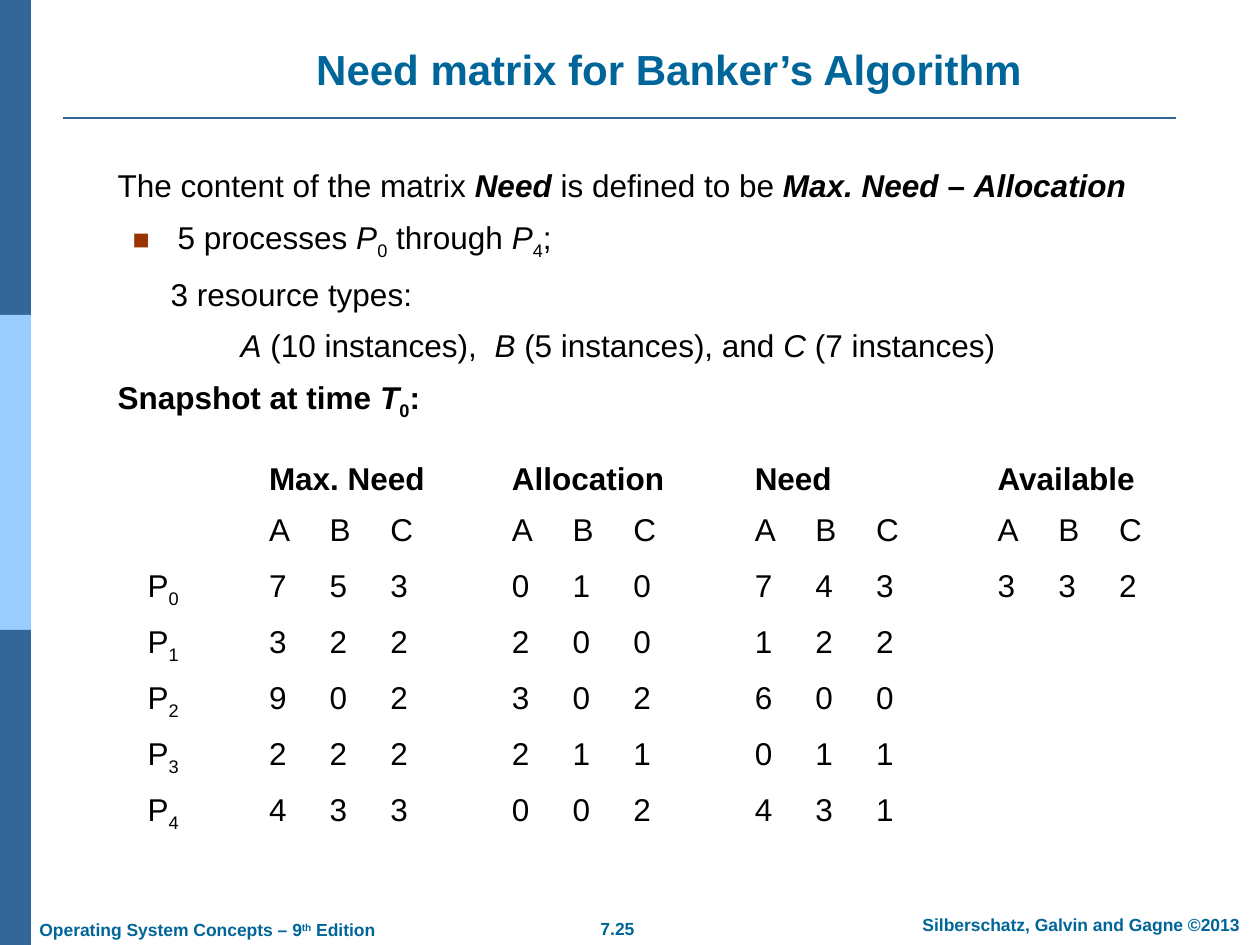
from lxml import etree
from pptx import Presentation
from pptx import util as u
from pptx.dml.color import RGBColor
from pptx.enum import shapes, text
from pptx.oxml import ns

PX = 914400 / 126
FONT = "Arial"
STEEL = RGBColor(0x33, 0x66, 0x99)
SKY = RGBColor(0x99, 0xCC, 0xFF)
TEAL = RGBColor(0x00, 0x66, 0x99)
RUST = RGBColor(0x99, 0x33, 0x00)
BLACK = RGBColor(0, 0, 0)


def px(*lengths):
    return [u.Emu(round(length * PX)) for length in lengths]


def write(para, spans, size, color, bold=False):
    para.font.name = FONT
    para.font.size = u.Pt(size)
    para.font.color.rgb = color
    para.font.bold = bold
    for words, style in spans:
        span = para.add_run()
        span.text = words
        if "b" in style:
            span.font.bold = True
        if "i" in style:
            span.font.italic = True
        if "_" in style:
            span.font._element.set("baseline", "-25000")
        if "^" in style:
            span.font._element.set("baseline", "30000")


deck = Presentation()
deck.slide_width, deck.slide_height = px(1260, 945)
page = deck.slides.add_slide(deck.slide_layouts[1])

for index, color in enumerate([STEEL, SKY, STEEL]):
    bar = page.shapes.add_shape(shapes.MSO_SHAPE.RECTANGLE, *px(0, index * 315, 31, 315))
    bar.shadow.inherit = False
    bar.fill.solid()
    bar.fill.fore_color.rgb = color
    bar.line.fill.background()

rule = page.shapes.add_connector(shapes.MSO_CONNECTOR.STRAIGHT, *px(63, 118, 1176, 118))
rule.line.color.rgb = STEEL
rule.line.width = u.Pt(1.5)
etree.SubElement(rule._element.spPr, ns.qn("a:effectLst"))

footers = [
    ((556, 912, 123, 34), text.PP_ALIGN.CENTER, [("7.25", "")]),
    ((894, 908, 374, 34), text.PP_ALIGN.CENTER, [("Silberschatz, Galvin and Gagne ©2013", "")]),
    ((27, 913, 380, 34), text.PP_ALIGN.LEFT,
     [("Operating System Concepts – 9", ""), ("th", "^"), (" Edition", "")]),
]
for place, align, spans in footers:
    box = page.shapes.add_textbox(*px(*place))
    box.text_frame.word_wrap = True
    para = box.text_frame.paragraphs[0]
    para.alignment = align
    write(para, spans, 10, TEAL, True)

title = page.shapes.title
title.left, title.top, title.width, title.height = px(141, 21, 1056, 79)
title.text_frame.vertical_anchor = text.MSO_ANCHOR.BOTTOM
title.text_frame.auto_size = text.MSO_AUTO_SIZE.NONE
heading = title.text_frame.paragraphs[0]
heading.alignment = text.PP_ALIGN.CENTER
write(heading, [("Need matrix for Banker’s Algorithm", "")], 24, TEAL, True)

body = page.placeholders[1]
body.left, body.top, body.width, body.height = px(105, 160, 1091, 670)
frame = body.text_frame
frame.auto_size = text.MSO_AUTO_SIZE.NONE
lines = [
    (0, 0, [("The content of the matrix ", ""), ("Need", "bi"), (" is defined to be ", ""),
            ("Max. Need", "bi"), (" – ", "b"), ("Allocation", "bi")]),
    (60, -45, [("5 processes ", ""), ("P", "i"), ("0", "_"), (" through ", ""),
               ("P", "i"), ("4", "_"), (";", "")]),
    (53, 0, [("3 resource types:", "")]),
    (123, 0, [("A", "i"), (" (10 instances),  ", ""), ("B", "i"), (" (5 instances), and ", ""),
              ("C", "i"), (" (7 instances)", "")]),
    (0, 0, [("Snapshot at time ", "b"), ("T", "bi"), ("0", "b_"), (":", "b")]),
]
for index, (margin, indent, spans) in enumerate(lines):
    para = frame.add_paragraph() if index else frame.paragraphs[0]
    para.space_before = u.Pt(7.9 if index else 0)
    props = para._element.get_or_add_pPr()
    margin, indent = px(margin, indent)
    props.set("marL", str(margin))
    props.set("indent", str(indent))
    if indent:
        tint = etree.SubElement(props, ns.qn("a:buClr"))
        etree.SubElement(tint, ns.qn("a:srgbClr"), val=str(RUST))
        etree.SubElement(props, ns.qn("a:buSzPct"), val="90000")
        etree.SubElement(props, ns.qn("a:buFont"), typeface=FONT)
        etree.SubElement(props, ns.qn("a:buChar"), char="■")
    else:
        etree.SubElement(props, ns.qn("a:buNone"))
    write(para, spans, 18, BLACK)

groups = {
    "Max. Need": ["753", "322", "902", "222", "433"],
    "Allocation": ["010", "200", "302", "211", "002"],
    "Need": ["743", "122", "600", "011", "431"],
    "Available": ["332"],
}
table = page.shapes.add_table(7, 17, *px(135, 456, 1033, 387)).table
table.first_row = False
table.horz_banding = False
for index, row in enumerate(table.rows):
    row.height = px(56 if index else 51)[0]
    for cell in row.cells:
        cell.fill.background()

for process in range(5):
    para = table.cell(process + 2, 0).text_frame.paragraphs[0]
    write(para, [("P", ""), (str(process), "_")], 18, BLACK)

for index, (name, rows) in enumerate(groups.items()):
    first = 2 + 4 * index
    header = table.cell(0, first)
    header.merge(table.cell(0, first + 2))
    write(header.text_frame.paragraphs[0], [(name, "")], 18, BLACK, True)
    for row, values in enumerate(["ABC"] + rows, 1):
        for column, value in enumerate(values, first):
            para = table.cell(row, column).text_frame.paragraphs[0]
            write(para, [(value, "")], 18, BLACK)

deck.save("out.pptx")
